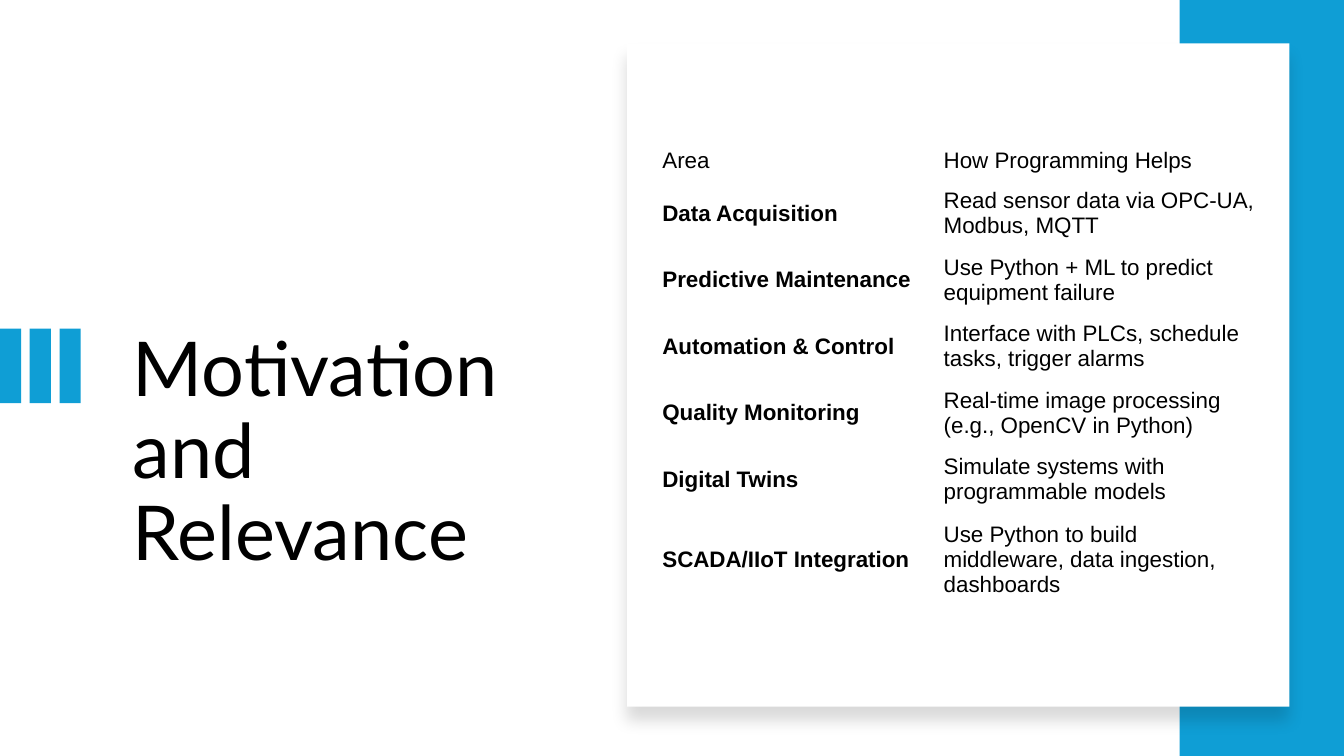
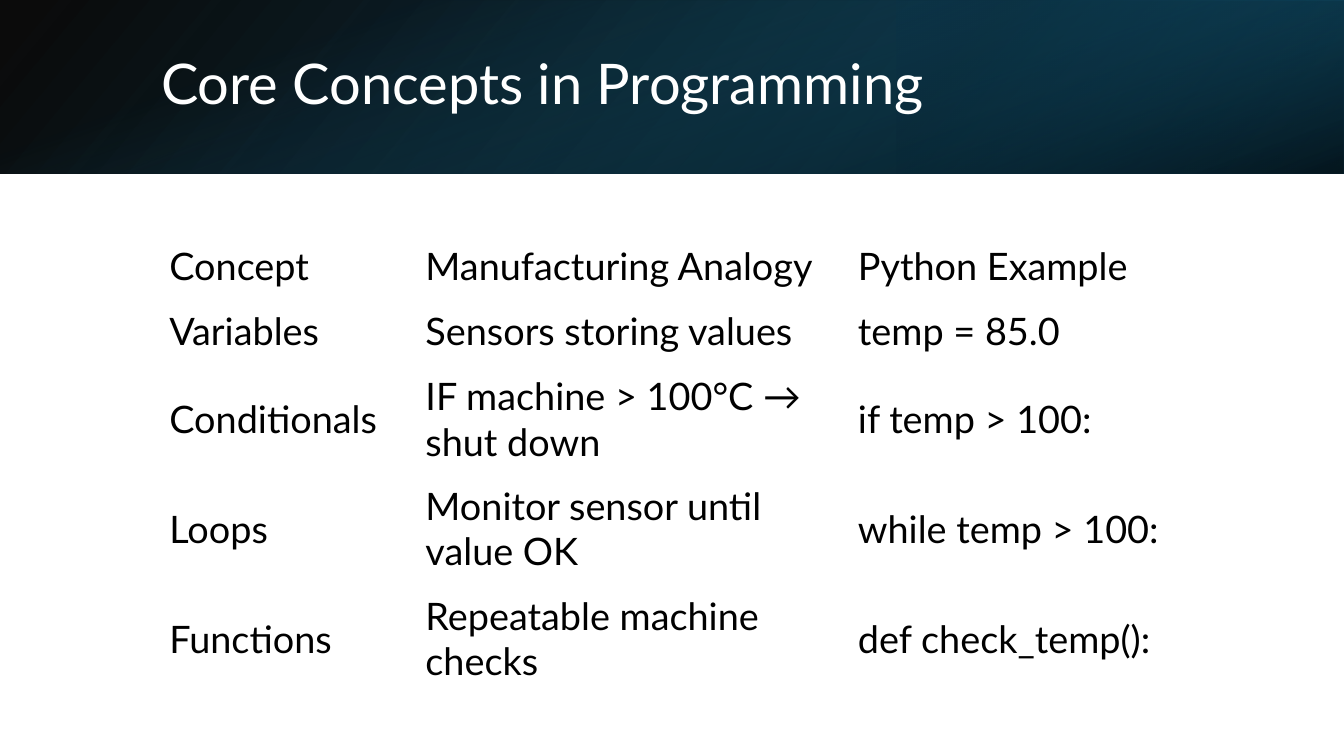
import pptx
import pptx.util
import pptx.dml.color
import pptx.enum.shapes
import pptx.enum.text
import pptx.oxml
import pptx.oxml.ns
from pptx.util import Inches

BLUE, WHITE, BLACK = "0F9ED5", "FFFFFF", "000000"
TITLE_FONT = "Lato"
NS = pptx.oxml.ns.nsdecls("a")
MIDDLE = pptx.enum.text.MSO_ANCHOR.MIDDLE


def rgb(value):
    return pptx.dml.color.RGBColor.from_string(value)


def add_rect(s, x, y, w, h, color=BLUE):
    sp = s.shapes.add_shape(pptx.enum.shapes.MSO_SHAPE.RECTANGLE,
                            Inches(x), Inches(y), Inches(w), Inches(h))
    sp.shadow.inherit = False
    sp.fill.solid()
    sp.fill.fore_color.rgb = rgb(color)
    sp.line.fill.background()
    return sp


prs = pptx.Presentation()
prs.slide_width, prs.slide_height = Inches(13.33), Inches(7.5)
s1, s2 = [prs.slides.add_slide(prs.slide_layouts[6]) for _ in range(2)]

# Slide 1: three bars, side band and card
for i in range(3):
    add_rect(s1, 0.295 * i, 3.26, 0.21, 0.74)
add_rect(s1, 11.7, 0, 1.63, 7.5)
card = add_rect(s1, 6.22, 0.43, 6.57, 6.58, WHITE)
effects = card.element.spPr.find(pptx.oxml.ns.qn("a:effectLst"))
effects.append(pptx.oxml.parse_xml(
    f'<a:outerShdw {NS} blurRad="{pptx.util.Pt(11)}" dist="{pptx.util.Pt(10)}" '
    f'dir="5400000" algn="t" rotWithShape="0">'
    f'<a:srgbClr val="{BLACK}"><a:alpha val="15000"/></a:srgbClr></a:outerShdw>'))

# Slide 2: header band of three gradient layers
# (box, rotation, flipped, angle, stops as position, colour, opacity)
layers = [
    ((0, 0, 13.33, 1.72), 0, True, 140, [(0, BLACK, 96), (100, "104862", 100)]),
    ((8.89, 0, 4.44, 1.72), 180, True, 320, [(19, "0B3041", 68), (100, "156082", 79)]),
    ((5.8, -5.8, 1.72, 13.33), 90, False, 340, [(23, "156082", 0), (99, BLACK, 74)]),
]
for box, rotation, flipped, angle, stops in layers:
    sp = add_rect(s2, *box)
    sp.rotation = rotation
    spPr = sp.element.spPr
    if flipped:
        spPr.xfrm.set("flipH", "1")
    stop_xml = "".join(
        f'<a:gs pos="{pos * 1000}"><a:srgbClr val="{color}">'
        f'<a:alpha val="{alpha * 1000}"/></a:srgbClr></a:gs>'
        for pos, color, alpha in stops)
    solid = spPr.find(pptx.oxml.ns.qn("a:solidFill"))
    spPr.replace(solid, pptx.oxml.parse_xml(
        f'<a:gradFill {NS} rotWithShape="1"><a:gsLst>{stop_xml}</a:gsLst>'
        f'<a:lin ang="{angle * 60000}" scaled="0"/></a:gradFill>'))

# Titles
titles = [
    (s1, "Motivation and Relevance", (1.22, 3.24, 4.41, 2.61), 54, BLACK,
     pptx.enum.text.MSO_ANCHOR.TOP),
    (s2, "Core Concepts in Programming", (1.5, 0.38, 10.98, 0.96), 40, WHITE, MIDDLE),
]
for s, text, box, size, color, anchor in titles:
    tf = s.shapes.add_textbox(*[Inches(v) for v in box]).text_frame
    tf.word_wrap = True
    tf.vertical_anchor = anchor
    p = tf.paragraphs[0]
    p.text = text
    p.line_spacing = 0.9
    p.font.name, p.font.size = TITLE_FONT, pptx.util.Pt(size)
    p.font.color.rgb = rgb(color)

# Tables
areas = [
    ("Area", "How Programming Helps"),
    ("Data Acquisition", "Read sensor data via OPC-UA, Modbus, MQTT"),
    ("Predictive Maintenance", "Use Python + ML to predict equipment failure"),
    ("Automation & Control", "Interface with PLCs, schedule tasks, trigger alarms"),
    ("Quality Monitoring", "Real-time image processing (e.g., OpenCV in Python)"),
    ("Digital Twins", "Simulate systems with programmable models"),
    ("SCADA/IIoT Integration", "Use Python to build middleware, data ingestion, dashboards"),
]
concepts = [
    ("Concept", "Manufacturing Analogy", "Python Example"),
    ("Variables", "Sensors storing values", "temp = 85.0"),
    ("Conditionals", "IF machine > 100°C → shut down", "if temp > 100:"),
    ("Loops", "Monitor sensor until value OK", "while temp > 100:"),
    ("Functions", "Repeatable machine checks", "def check_temp():"),
]
# (slide, rows, left, top, column widths, row heights, font, size, side and top margins, bold names)
tables = [
    (s1, areas, 6.48, 1.4, [2.79, 3.26], [0.39] + [0.66] * 5 + [0.93],
     "Arial", 16, 0.09, 0.04, True),
    (s2, concepts, 1.53, 2.31, [2.54, 4.29, 3.47], [0.65] * 2 + [1.09] * 3,
     TITLE_FONT, 27, 0.15, 0.07, False),
]
for s, rows, x, y, widths, heights, font, size, side, top, bold_names in tables:
    table = s.shapes.add_table(len(rows), len(widths), Inches(x), Inches(y),
                               Inches(sum(widths)), Inches(sum(heights))).table
    table.first_row = table.horz_banding = False
    for column, width in zip(table.columns, widths):
        column.width = Inches(width)
    for i, (row, height) in enumerate(zip(rows, heights)):
        table.rows[i].height = Inches(height)
        for j, text in enumerate(row):
            cell = table.cell(i, j)
            cell.fill.background()
            cell.vertical_anchor = MIDDLE
            cell.margin_left = cell.margin_right = Inches(side)
            cell.margin_top = cell.margin_bottom = Inches(top)
            p = cell.text_frame.paragraphs[0]
            p.text = text
            p.font.name, p.font.size = font, pptx.util.Pt(size)
            p.font.bold = bold_names and i > 0 and j == 0
            p.font.color.rgb = rgb(BLACK)

prs.save("out.pptx")
